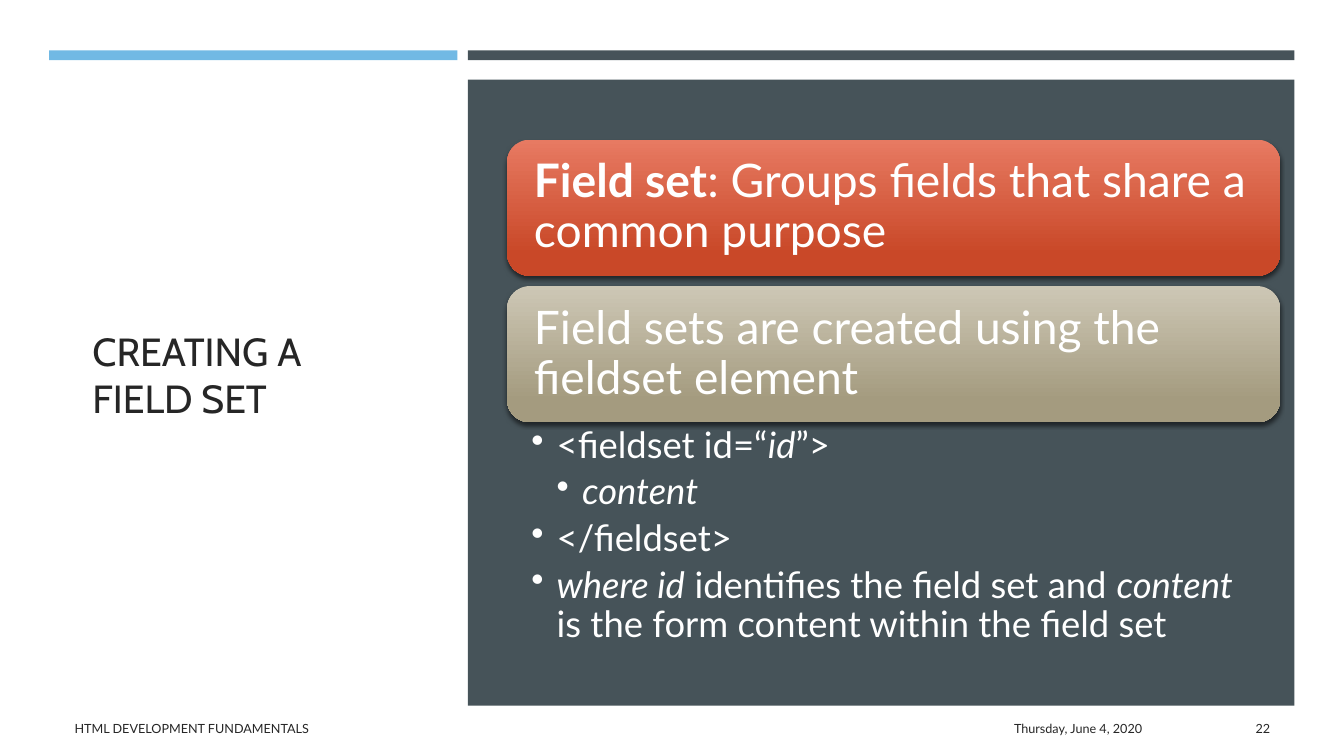
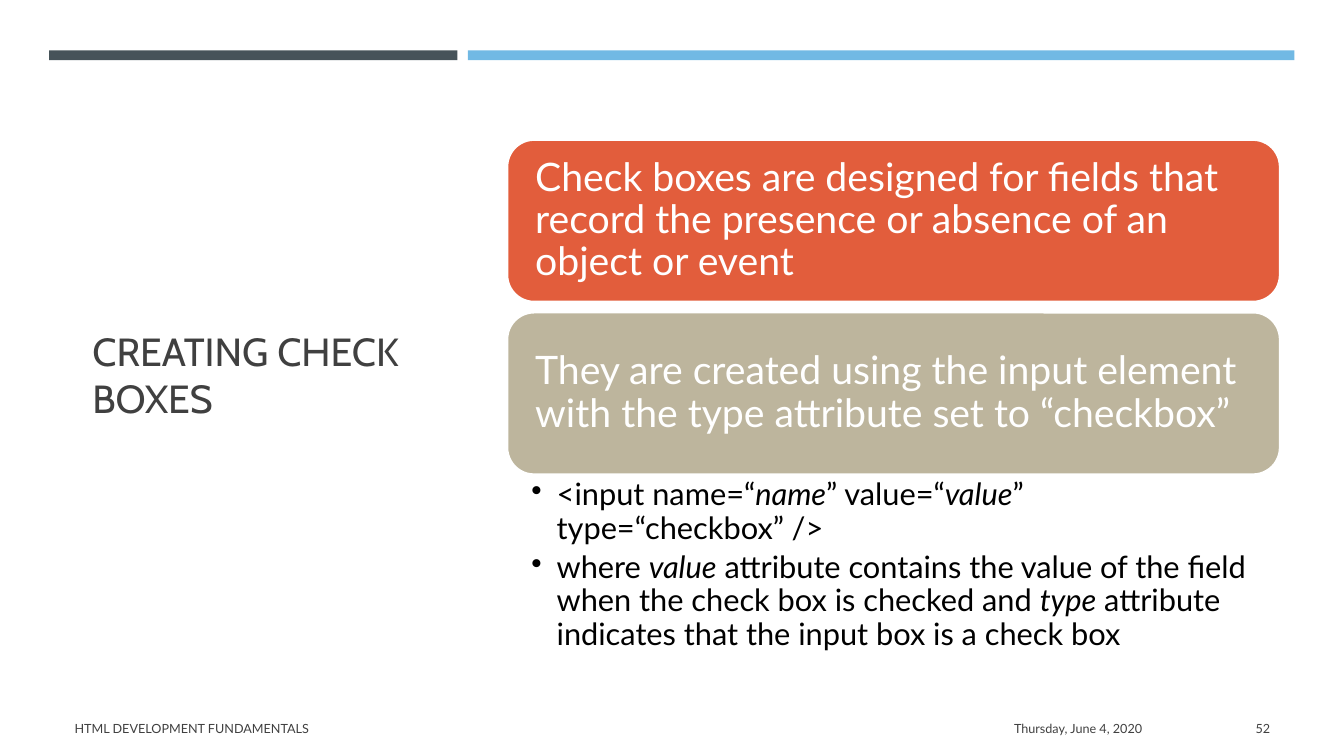
from lxml import etree
from pptx import Presentation
from pptx.dml.color import RGBColor
from pptx.enum.shapes import MSO_SHAPE
from pptx.enum.text import MSO_ANCHOR, PP_ALIGN
from pptx.oxml.ns import qn
from pptx.util import Cm, Pt

RECT, ROUNDED = MSO_SHAPE.RECTANGLE, MSO_SHAPE.ROUNDED_RECTANGLE
TOP, MIDDLE = MSO_ANCHOR.TOP, MSO_ANCHOR.MIDDLE
LEFT, RIGHT = PP_ALIGN.LEFT, PP_ALIGN.RIGHT

COLORS = {
    "white": "FFFFFF", "black": "000000", "ink": "262626", "gray": "404040",
    "blue": "71B9E4", "slate": "465359", "orange": "E25D3C", "sand": "BDB59D",
    "orange_light": "E77A62", "orange_dark": "C94828",
    "sand_light": "CDC7B5", "sand_dark": "A49B7F",
}
TITLE_FONT, BODY_FONT = "Cabin", "Lato"

NARROW_X, NARROW_W = 1.24, 10.29
WIDE_X, WIDE_W = 11.79, 20.83
CARD_X, CARD_W, CARD_TOP, CARD_GAP, CARD_INSET = 12.78, 19.48, 3.52, 0.26, 0.51
INDENT = 0.64


def rgb(name):
    return RGBColor.from_string(COLORS[name])


def add_runs(p, runs, size, color, font=BODY_FONT):
    """Add (text, style) runs; style is "", "b" or "i"."""
    for text, style in runs:
        r = p.add_run()
        r.text = text
        r.font.name = font
        r.font.size = Pt(size)
        r.font.bold = style == "b"
        r.font.italic = style == "i"
        r.font.color.rgb = rgb(color)


def set_frame(tf, anchor, insets):
    tf.word_wrap = True
    tf.vertical_anchor = anchor
    tf.margin_left, tf.margin_top, tf.margin_right, tf.margin_bottom = map(Cm, insets)


def add_text(s, box, anchor=MIDDLE, insets=(0.25, 0.13, 0.25, 0.13)):
    tf = s.shapes.add_textbox(*map(Cm, box)).text_frame
    set_frame(tf, anchor, insets)
    return tf


def add_block(s, kind, box, fill):
    """Draw a borderless shape; a pair of colours gives a vertical gradient."""
    sp = s.shapes.add_shape(kind, *map(Cm, box))
    sp.shadow.inherit = False
    sp.line.fill.background()
    if isinstance(fill, tuple):
        sp.fill.gradient()
        sp.fill.gradient_angle = 270
        for stop, position, color in zip(sp.fill.gradient_stops, (0, 0.84), fill):
            stop.position = position
            stop.color.rgb = rgb(color)
    else:
        sp.fill.solid()
        sp.fill.fore_color.rgb = rgb(fill)
    return sp


def add_shadow(sp):
    effects = sp._element.spPr.find(qn("a:effectLst"))
    shadow = etree.SubElement(effects, qn("a:outerShdw"), blurRad=str(Pt(3)),
                              dist=str(Pt(2)), dir="5400000", rotWithShape="0")
    color = etree.SubElement(shadow, qn("a:srgbClr"), val=COLORS["black"])
    etree.SubElement(color, qn("a:alpha"), val="55000")


def add_frame(s, title, number, color, bars):
    """Draw the top bars, title and footer that every slide has."""
    for x, w, fill in zip((NARROW_X, WIDE_X), (NARROW_W, WIDE_W), bars):
        add_block(s, RECT, (x, 1.27, w, 0.25), fill)
    p = add_text(s, (2.08, 2.9, 8.48, 13.08)).paragraphs[0]
    add_runs(p, [(title, "")], 28, color, TITLE_FONT)
    footer = (
        (1.63, 19.2, LEFT, "HTML DEVELOPMENT FUNDAMENTALS"),
        (21.13, 7.9, RIGHT, "Thursday, June 4, 2020"),
        (29.34, 2.92, RIGHT, number),
    )
    for x, w, align, text in footer:
        p = add_text(s, (x, 17.84, w, 1.02)).paragraphs[0]
        p.alignment = align
        p.space_after = Pt(6)
        add_runs(p, [(text, "")], 9, color)


def add_cards(s, cards, height, size, raised=False):
    """Stack rounded cards and return the bottom of the last one."""
    for i, (fill, runs) in enumerate(cards):
        top = CARD_TOP + i * (height + CARD_GAP)
        sp = add_block(s, ROUNDED, (CARD_X, top, CARD_W, height), fill)
        if raised:
            add_shadow(sp)
        else:
            sp.line.color.rgb = rgb("white")
            sp.line.width = Pt(1.75)
        set_frame(sp.text_frame, MIDDLE, [CARD_INSET] * 4)
        p = sp.text_frame.paragraphs[0]
        p.alignment = LEFT
        p.line_spacing = 0.9
        p.space_after = Pt(round(size * 0.35, 1))
        add_runs(p, runs, size, "white")
    return top + height


def add_bullets(s, top, height, items, size, color):
    """Write (level, runs) items as a bulleted list."""
    tf = add_text(s, (CARD_X, top, CARD_W, height), TOP, (0.61, 0.12, 0.6, 0.12))
    for i, (level, runs) in enumerate(items):
        p = tf.add_paragraph() if i else tf.paragraphs[0]
        p.level = level
        pPr = p._p.get_or_add_pPr()
        pPr.set("marL", str(Cm(INDENT * level)))
        pPr.set("indent", str(-Cm(INDENT)))
        etree.SubElement(pPr, qn("a:buChar"), char="•")
        p.line_spacing = 0.9
        p.space_after = Pt(round(size * 0.2, 1))
        add_runs(p, runs, size, color)


def add_field_set_slide(s):
    add_block(s, RECT, (WIDE_X, 2.01, WIDE_W, 15.77), "slate")
    add_frame(s, "CREATING A FIELD SET", "22", "ink", ("blue", "slate"))
    bottom = add_cards(s, [
        (("orange_light", "orange_dark"),
         [("Field set", "b"), (": Groups fields that share a common purpose", "")]),
        (("sand_light", "sand_dark"),
         [("Field sets are created using the fieldset element", "")]),
    ], 3.43, 33, raised=True)
    add_bullets(s, bottom, 5.59, [
        (1, [("<fieldset id=“", ""), ("id", "i"), ("”>", "")]),
        (2, [("content", "i")]),
        (1, [("</fieldset>", "")]),
        (1, [("where id", "i"), (" identifies the field set and ", ""),
             ("content ", "i"), ("is the form content within the field set", "")]),
    ], 26, "white")


def add_check_box_slide(s):
    add_frame(s, "CREATING CHECK BOXES", "52", "gray", ("slate", "blue"))
    bottom = add_cards(s, [
        ("orange", [("Check boxes are designed for fields that record the presence "
                     "or absence of an object or event", "")]),
        ("sand", [("They are created using the input element with the type "
                   "attribute set to “checkbox”", "")]),
    ], 4.09, 28)
    add_bullets(s, bottom, 4.34, [
        (1, [("<input name=“", ""), ("name", "i"), ("” value=“", ""),
             ("value", "i"), ("” \ttype=“checkbox” />", "")]),
        (1, [("where ", ""), ("value", "i"),
             (" attribute contains the value of the field when the check box "
              "is checked and ", ""),
             ("type", "i"),
             (" attribute indicates that the input box is a check box", "")]),
    ], 22, "black")


def main():
    prs = Presentation()
    prs.slide_width, prs.slide_height = Cm(33.87), Cm(19.05)
    blank = prs.slide_layouts[6]
    for build in (add_field_set_slide, add_check_box_slide):
        build(prs.slides.add_slide(blank))
    prs.save("out.pptx")


if __name__ == "__main__":
    main()
